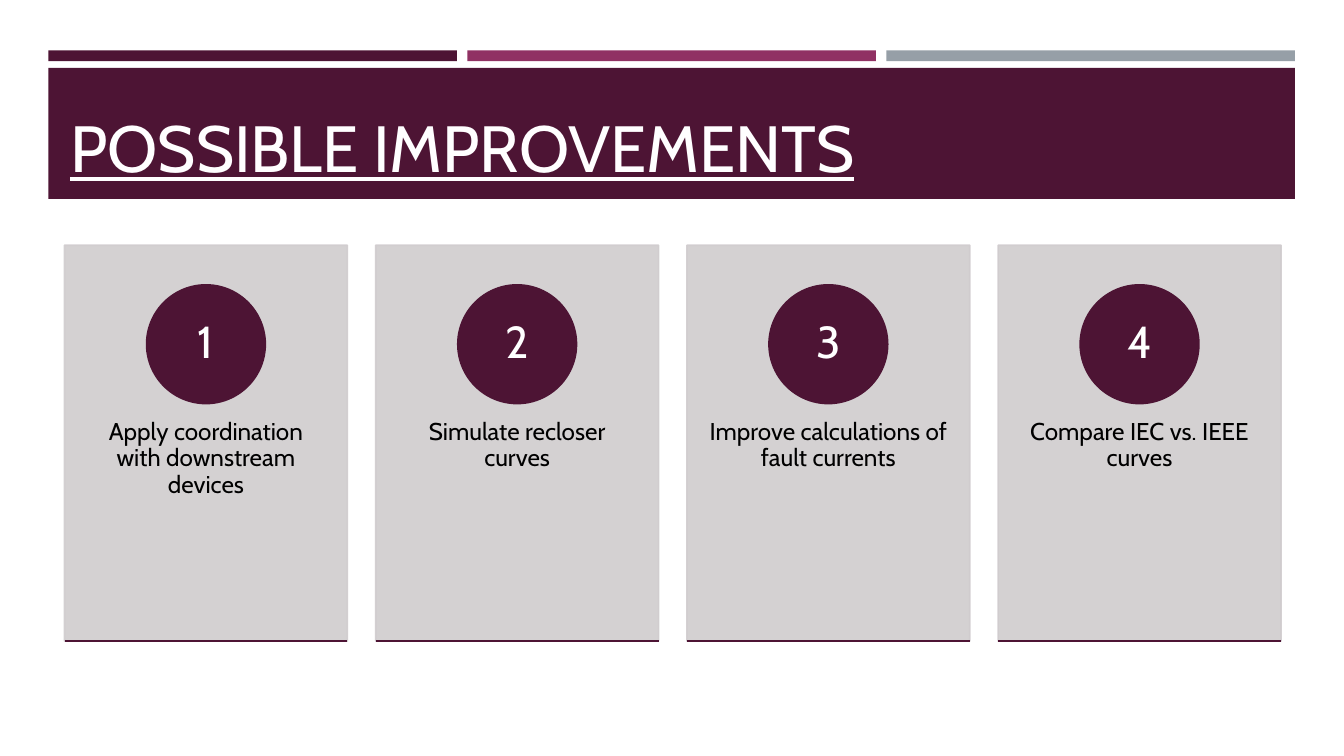
from lxml.etree import SubElement
from pptx import Presentation
from pptx.dml.color import RGBColor
from pptx.enum.shapes import MSO_CONNECTOR, MSO_SHAPE
from pptx.enum.text import MSO_ANCHOR, PP_ALIGN
from pptx.oxml.ns import qn
from pptx.util import Inches, Pt

TITLE = "POSSIBLE IMPROVEMENTS"
IMPROVEMENTS = [
    "Apply coordination with downstream devices",
    "Simulate recloser curves",
    "Improve calculations of fault currents",
    "Compare IEC vs. IEEE curves",
]
STRIPES = ["plum", "magenta", "steel"]
COLORS = {
    "plum": "4D1434", "magenta": "903163", "steel": "969FA7",
    "card": "D0CCCE", "title": "FFFEFF", "number": "FFFFFF", "body": "000000",
}
FONT = "Cabin"
LINE_WIDTH = 1.75

SLIDE_W, SLIDE_H = 20, 11.25
BANNER_X, BANNER_Y, BANNER_W, BANNER_H = 0.72, 1.01, 18.55, 1.95
STRIPE_Y, STRIPE_W, STRIPE_H = 0.75, 6.08, 0.16
STRIPE_PITCH = (BANNER_W - STRIPE_W) / (len(STRIPES) - 1)
CARD_X, CARD_Y, CARD_W, CARD_H = 0.96, 3.65, 4.21, 5.89
CARD_PITCH = CARD_W * 1.1
CIRCLE = CARD_H * 0.3
CIRCLE_Y = CARD_Y + CARD_H * 0.1
BODY_Y, BODY_H = CARD_Y + CARD_H * 0.38, CARD_H * 0.6


def rgb(name):
    return RGBColor.from_string(COLORS[name])


def set_alpha(fill, percent):
    """Make a solid fill partly transparent."""
    color = fill._xPr.find(qn("a:solidFill"))[0]
    SubElement(color, qn("a:alpha"), val=str(percent * 1000))


def add_block(slide, kind, x, y, w, h, color, outlined=False):
    sp = slide.shapes.add_shape(kind, Inches(x), Inches(y), Inches(w), Inches(h))
    sp.shadow.inherit = False
    sp.fill.solid()
    sp.fill.fore_color.rgb = rgb(color)
    if outlined:
        sp.line.color.rgb = rgb(color)
        sp.line.width = Pt(LINE_WIDTH)
    else:
        sp.line.fill.background()
    return sp


def add_box(slide, x, y, w, h):
    return slide.shapes.add_textbox(Inches(x), Inches(y), Inches(w), Inches(h))


def write(shape, text, size, color, anchor, insets=(0.1, 0.05), align=PP_ALIGN.CENTER, spacing=0.9):
    tf = shape.text_frame
    tf.word_wrap = True
    tf.vertical_anchor = anchor
    tf.margin_left = tf.margin_right = Inches(insets[0])
    tf.margin_top = tf.margin_bottom = Inches(insets[1])
    p = tf.paragraphs[0]
    p.text = text
    p.alignment = align
    p.line_spacing = spacing
    p.font.name = FONT
    p.font.size = Pt(size)
    p.font.color.rgb = rgb(color)
    return p


def add_header(slide):
    for i, color in enumerate(STRIPES):
        add_block(slide, MSO_SHAPE.RECTANGLE, BANNER_X + i * STRIPE_PITCH, STRIPE_Y,
                  STRIPE_W, STRIPE_H, color)
    add_block(slide, MSO_SHAPE.RECTANGLE, BANNER_X, BANNER_Y, BANNER_W, BANNER_H, "plum")
    box = add_box(slide, 0.95, 1.15, 18.09, 1.66)
    p = write(box, TITLE, 70, "title", MSO_ANCHOR.BOTTOM, align=PP_ALIGN.LEFT, spacing=1.0)
    p.font.underline = True


def add_card(slide, number, text):
    x = CARD_X + (number - 1) * CARD_PITCH
    card = add_block(slide, MSO_SHAPE.RECTANGLE, x, CARD_Y, CARD_W, CARD_H, "card", outlined=True)
    set_alpha(card.fill, 90)
    set_alpha(card.line.fill, 90)

    body = add_box(slide, x, BODY_Y, CARD_W, BODY_H)
    write(body, text, 26, "body", MSO_ANCHOR.TOP, (0.33, 0.36))

    circle = add_block(slide, MSO_SHAPE.OVAL, x + (CARD_W - CIRCLE) / 2, CIRCLE_Y,
                       CIRCLE, CIRCLE, "plum", outlined=True)
    write(circle, str(number), 48, "number", MSO_ANCHOR.MIDDLE, (0.14, 0.01))

    bottom = Inches(CARD_Y + CARD_H)
    rule = slide.shapes.add_connector(MSO_CONNECTOR.STRAIGHT, Inches(x), bottom,
                                      Inches(x + CARD_W), bottom)
    rule.line.color.rgb = rgb("plum")
    rule.line.width = Pt(LINE_WIDTH)
    SubElement(rule._element.spPr, qn("a:effectLst"))


def main():
    prs = Presentation()
    prs.slide_width, prs.slide_height = Inches(SLIDE_W), Inches(SLIDE_H)
    slide = prs.slides.add_slide(prs.slide_layouts[6])
    add_header(slide)
    for number, text in enumerate(IMPROVEMENTS, start=1):
        add_card(slide, number, text)
    prs.save("out.pptx")


if __name__ == "__main__":
    main()
